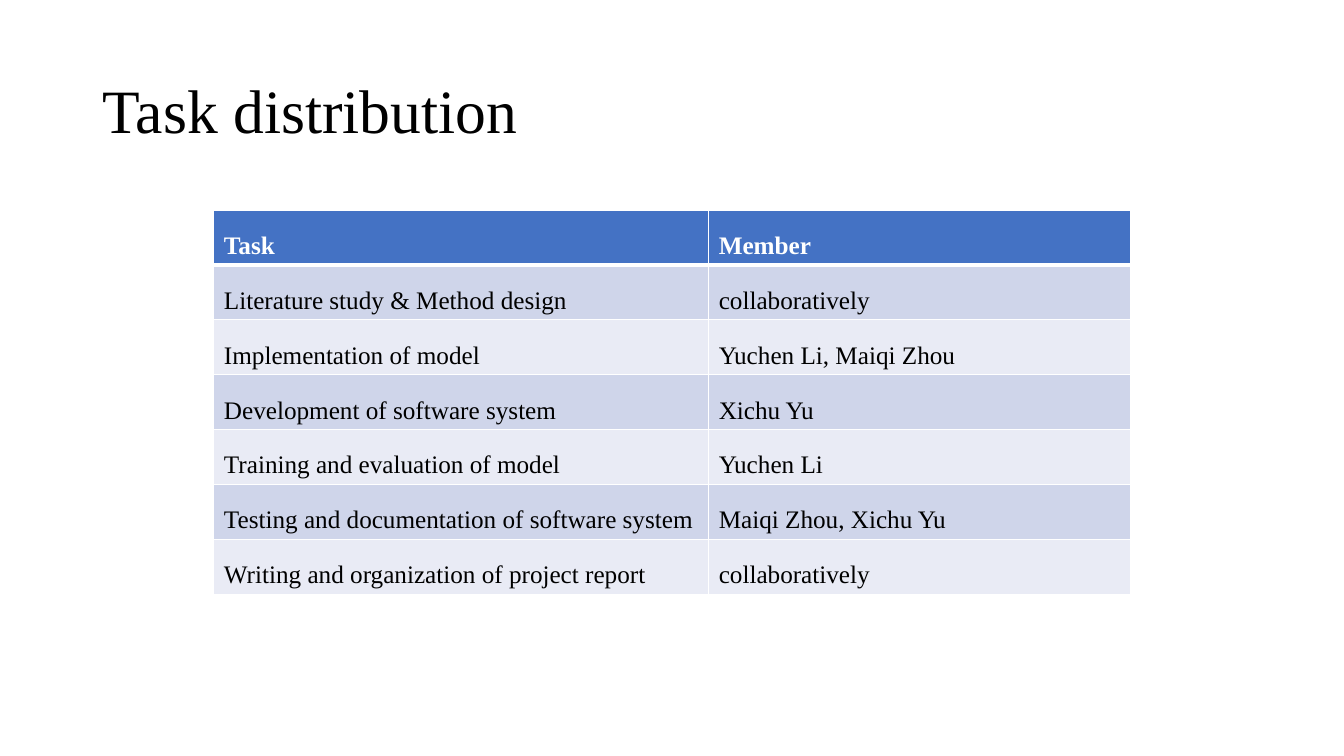
from dataclasses import dataclass

from lxml import etree
from pptx import Presentation
from pptx.dml.color import RGBColor
from pptx.enum.text import MSO_ANCHOR, MSO_AUTO_SIZE, PP_ALIGN
from pptx.oxml.ns import qn
from pptx.util import Pt

LEFT = PP_ALIGN.LEFT
MIDDLE = MSO_ANCHOR.MIDDLE
BOTTOM = MSO_ANCHOR.BOTTOM
NO_FIT = MSO_AUTO_SIZE.NONE
TITLE_ONLY = 5


@dataclass(frozen=True)
class Theme:
    font: str = "Times New Roman"
    title_size: int = 44
    table_size: int = 18
    text: str = "000000"
    header_text: str = "FFFFFF"
    header_fill: str = "4472C4"
    bands: tuple = ("CFD5EA", "E9EBF5")
    border: str = "FFFFFF"
    thin: int = 1
    thick: int = 3


THEME = Theme()

TASKS = [
    ("Task", "Member"),
    ("Literature study & Method design", "collaboratively"),
    ("Implementation of model", "Yuchen Li, Maiqi Zhou"),
    ("Development of software system", "Xichu Yu"),
    ("Training and evaluation of model", "Yuchen Li"),
    ("Testing and documentation of software system", "Maiqi Zhou, Xichu Yu"),
    ("Writing and organization of project report", "collaboratively"),
]


def add_run(paragraph, text, size, color, bold=False):
    run = paragraph.add_run()
    run.text = text
    run.font.name = THEME.font
    run.font.size = Pt(size)
    run.font.bold = bold
    run.font.color.rgb = RGBColor.from_string(color)


def set_borders(cell, top, bottom):
    properties = cell._tc.get_or_add_tcPr()
    widths = {"a:lnL": THEME.thin, "a:lnR": THEME.thin, "a:lnT": top, "a:lnB": bottom}
    for position, (side, width) in enumerate(widths.items()):
        line = etree.Element(qn(side), w=str(Pt(width)))
        fill = etree.SubElement(line, qn("a:solidFill"))
        etree.SubElement(fill, qn("a:srgbClr"), val=THEME.border)
        properties.insert(position, line)


def place_title(slide, text, left, top, width, height):
    title = slide.shapes.title
    title.left, title.top = Pt(left), Pt(top)
    title.width, title.height = Pt(width), Pt(height)
    frame = title.text_frame
    frame.auto_size = NO_FIT
    frame.word_wrap = True
    frame.vertical_anchor = MIDDLE
    paragraph = frame.paragraphs[0]
    paragraph.alignment = LEFT
    paragraph.line_spacing = 0.9
    add_run(paragraph, text, THEME.title_size, THEME.text)


def place_task_table(slide, rows, left, top, width, height, task_share):
    table = slide.shapes.add_table(
        len(rows), len(rows[0]), Pt(left), Pt(top), Pt(width), Pt(height)
    ).table
    task_width = width * task_share
    table.columns[0].width = Pt(task_width)
    table.columns[1].width = Pt(width - task_width)
    for row_index, texts in enumerate(rows):
        table.rows[row_index].height = Pt(height / len(rows))
        header = row_index == 0
        fill = THEME.header_fill if header else THEME.bands[(row_index - 1) % 2]
        color = THEME.header_text if header else THEME.text
        top_line = THEME.thick if row_index == 1 else THEME.thin
        bottom_line = THEME.thick if header else THEME.thin
        for column_index, text in enumerate(texts):
            cell = table.cell(row_index, column_index)
            cell.vertical_anchor = BOTTOM
            cell.fill.solid()
            cell.fill.fore_color.rgb = RGBColor.from_string(fill)
            set_borders(cell, top_line, bottom_line)
            add_run(cell.text_frame.paragraphs[0], text, THEME.table_size, color, header)


def main():
    deck = Presentation()
    deck.slide_width, deck.slide_height = Pt(960), Pt(540)
    slide = deck.slides.add_slide(deck.slide_layouts[TITLE_ONLY])
    place_title(slide, "Task distribution", 66, 28.75, 828, 104.4)
    place_task_table(slide, TASKS, 152.8, 150, 654.5, 274.5, 0.54)
    deck.save("out.pptx")


if __name__ == "__main__":
    main()
